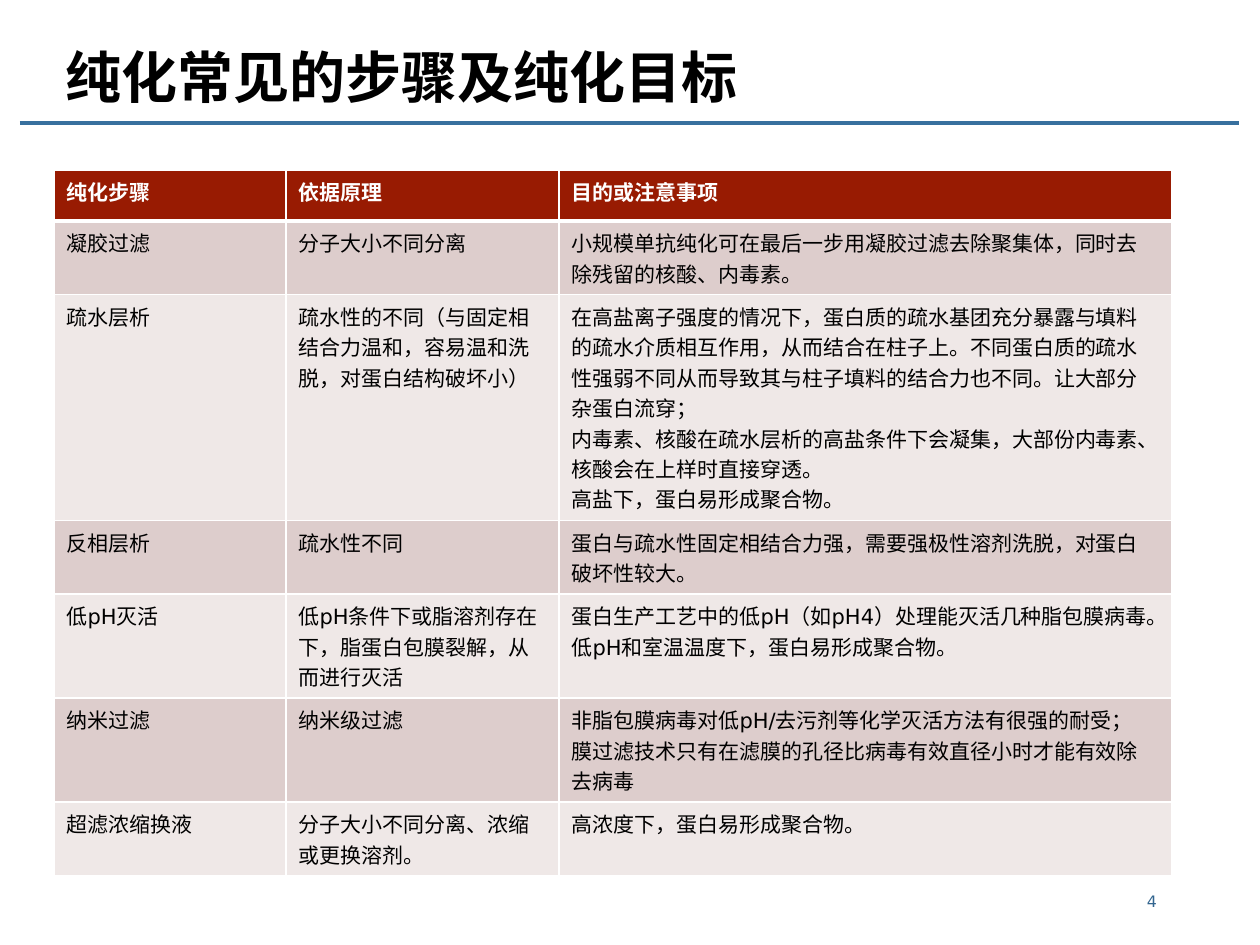
from lxml import etree
from pptx import Presentation
from pptx import util as u
from pptx.dml.color import RGBColor
from pptx.enum import shapes, text
from pptx.oxml import ns

BLACK = RGBColor(0x00, 0x00, 0x00)
WHITE = RGBColor(0xFF, 0xFF, 0xFF)
RULE_BLUE = RGBColor(0x38, 0x70, 0x9E)
NUMBER_BLUE = RGBColor(0x32, 0x65, 0x8F)
HEADER_RED = RGBColor(0x98, 0x1B, 0x02)
BAND_DARK = RGBColor(0xDD, 0xCD, 0xCC)
BAND_LIGHT = RGBColor(0xEF, 0xE8, 0xE7)


def px(count):
    return u.Emu(round(count * 914400 / 126))


def write(frame, content, size=12, font="DejaVu Sans", color=BLACK, bold=False,
          align=text.PP_ALIGN.LEFT):
    for index, line in enumerate(content.split("\n")):
        para = frame.add_paragraph() if index else frame.paragraphs[0]
        para.alignment = align
        span = para.add_run()
        span.text = line
        span.font.size = u.Pt(size)
        span.font.name = font
        span.font.bold = bold
        span.font.color.rgb = color


deck = Presentation()
deck.slide_width, deck.slide_height = px(1260), px(945)
page = deck.slides.add_slide(deck.slide_layouts[5])

# Title and the rule below it
title = page.shapes.title
title.left, title.top, title.width, title.height = px(53), px(0), px(1100), px(116)
title.text_frame.vertical_anchor = text.MSO_ANCHOR.BOTTOM
title.text_frame.auto_size = text.MSO_AUTO_SIZE.NONE
write(title.text_frame, "纯化常见的步骤及纯化目标", size=32, font="Courier New", bold=True)

rule = page.shapes.add_connector(shapes.MSO_CONNECTOR.STRAIGHT,
                                 px(20), px(123), px(1239), px(123))
rule.line.color.rgb = RULE_BLUE
rule.line.width = u.Pt(2.25)
etree.SubElement(rule._element.spPr, ns.qn("a:effectLst"))

# Purification table
ROWS = [
    ("纯化步骤", "依据原理", "目的或注意事项"),
    ("凝胶过滤", "分子大小不同分离",
     "小规模单抗纯化可在最后一步用凝胶过滤去除聚集体，同时去除残留的核酸、内毒素。"),
    ("疏水层析", "疏水性的不同（与固定相结合力温和，容易温和洗脱，对蛋白结构破坏小）",
     "在高盐离子强度的情况下，蛋白质的疏水基团充分暴露与填料的疏水介质相互作用，"
     "从而结合在柱子上。不同蛋白质的疏水性强弱不同从而导致其与柱子填料的结合力也不同。"
     "让大部分杂蛋白流穿；\n"
     "内毒素、核酸在疏水层析的高盐条件下会凝集，大部份内毒素、核酸会在上样时直接穿透。\n"
     "高盐下，蛋白易形成聚合物。"),
    ("反相层析", "疏水性不同",
     "蛋白与疏水性固定相结合力强，需要强极性溶剂洗脱，对蛋白破坏性较大。"),
    ("低pH灭活", "低pH条件下或脂溶剂存在下，脂蛋白包膜裂解，从而进行灭活",
     "蛋白生产工艺中的低pH（如pH4）处理能灭活几种脂包膜病毒。\n"
     "低pH和室温温度下，蛋白易形成聚合物。"),
    ("纳米过滤", "纳米级过滤",
     "非脂包膜病毒对低pH/去污剂等化学灭活方法有很强的耐受；\n"
     "膜过滤技术只有在滤膜的孔径比病毒有效直径小时才能有效除去病毒"),
    ("超滤浓缩换液", "分子大小不同分离、浓缩或更换溶剂。", "高浓度下，蛋白易形成聚合物。"),
]
WIDTHS = [232, 273, 613]
HEIGHTS = [51, 73, 226, 73, 104, 104, 73]

table = page.shapes.add_table(len(ROWS), len(WIDTHS), px(54), px(170),
                              px(sum(WIDTHS)), px(sum(HEIGHTS))).table
for column, width in zip(table.columns, WIDTHS):
    column.width = px(width)
for row, height in zip(table.rows, HEIGHTS):
    row.height = px(height)

for r, row in enumerate(ROWS):
    header = r == 0
    fill = HEADER_RED if header else (BAND_DARK if r % 2 else BAND_LIGHT)
    for c, content in enumerate(row):
        cell = table.cell(r, c)
        write(cell.text_frame, content, color=WHITE if header else BLACK, bold=header)
        # White borders, thicker around the header's lower edge
        props = cell._tc.get_or_add_tcPr()
        for side in ("lnL", "lnR", "lnT", "lnB"):
            thick = (r, side) in ((0, "lnB"), (1, "lnT"))
            border = etree.SubElement(props, ns.qn("a:" + side), w=str(u.Pt(3 if thick else 1)))
            paint = etree.SubElement(border, ns.qn("a:solidFill"))
            etree.SubElement(paint, ns.qn("a:srgbClr"), val=str(WHITE))
        cell.fill.solid()
        cell.fill.fore_color.rgb = fill

# Page number
badge = page.shapes.add_shape(shapes.MSO_SHAPE.ROUNDED_RECTANGLE,
                              px(1129), px(879), px(46), px(44))
badge.adjustments[0] = 0.5
badge.shadow.inherit = False
badge.fill.background()
badge.line.fill.background()
frame = badge.text_frame
frame.margin_left = frame.margin_right = 0
frame.word_wrap = False
frame.vertical_anchor = text.MSO_ANCHOR.MIDDLE
write(frame, "4", size=9, color=NUMBER_BLUE, align=text.PP_ALIGN.CENTER)

deck.save("out.pptx")
